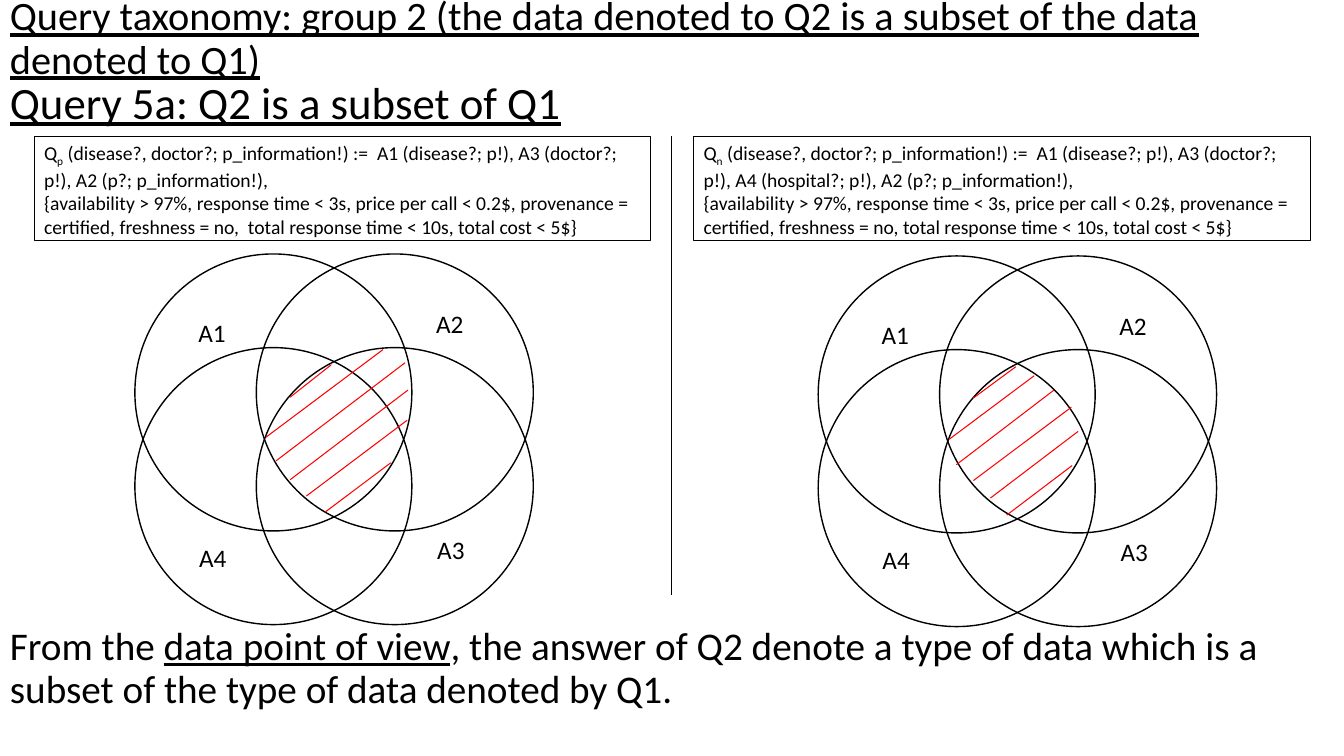
"""Build the Query 5a slide: two query boxes with hatched Venn diagrams."""
from dataclasses import dataclass

from pptx import Presentation
from pptx.dml.color import RGBColor
from pptx.enum.shapes import MSO_CONNECTOR as CONN, MSO_SHAPE as SHAPE
from pptx.enum.text import MSO_ANCHOR as ANCHOR, PP_ALIGN as ALIGN
from pptx.oxml.ns import qn
from pptx.shapes.autoshape import Shape
from pptx.slide import Slide
from pptx.text.text import TextFrame
from pptx.util import Cm, Pt
from lxml.etree import SubElement

FONT = "Calibri"
BLACK = "000000"
RED = "FF0000"
WIDTH = 33.87
DIAMETER = 6.98
STEP_X, STEP_Y = 3.06, 2.36


@dataclass
class Run:
    text: str
    underline: bool = False
    subscript: bool = False


@dataclass
class Hatch:
    x1: float
    y1: float
    x2: float
    y2: float


@dataclass
class Label:
    text: str
    x: float
    y: float


@dataclass
class Panel:
    box_x: float
    venn_x: float
    venn_y: float
    query: list[list[Run]]
    hatches: list[Hatch]


LABELS = [Label("A1", 1.35, 1.47), Label("A2", 7.34, 1.24),
          Label("A4", 1.37, 7.14), Label("A3", 7.37, 6.93)]

PANELS = [
    Panel(
        17.48, 20.62, 6.45,
        [[Run("Q"), Run("n", subscript=True),
          Run(" (disease?, doctor?; p_information!) :=  A1 (disease?; p!), A3 (doctor?; p!), "
              "A4 (hospital?; p!), A2 (p?; p_information!),")],
         [Run("{availability > 97%, response time < 3s, price per call < 0.2$, provenance = "
              "certified, freshness = no, total response time < 10s, total cost < 5$}")]],
        [Hatch(3.48, 5.26, 5.94, 3.38), Hatch(3.91, 5.66, 6.38, 3.81),
         Hatch(4.34, 6.1, 6.55, 4.42), Hatch(4.75, 6.53, 6.4, 5.28),
         Hatch(3.3, 4.62, 5.44, 3.02), Hatch(3.91, 3.58, 4.98, 2.79)]),
    Panel(
        0.86, 3.4, 6.4,
        [[Run("Q"), Run("p", subscript=True),
          Run(" (disease?, doctor?; p_information!) :=  A1 (disease?; p!), A3 (doctor?; p!), "
              "A2 (p?; p_information!),")],
         [Run("{availability > 97%, response time < 3s, price per call < 0.2$, provenance = "
              "certified, freshness = no,  total response time < 10s, total cost < 5$}")]],
        [Hatch(3.56, 5.21, 6.81, 2.74), Hatch(3.91, 5.69, 6.88, 3.43),
         Hatch(4.32, 6.1, 6.86, 4.19), Hatch(4.8, 6.5, 6.45, 5.26),
         Hatch(3.3, 4.62, 6.25, 2.41), Hatch(3.91, 3.61, 4.95, 2.79)]),
]


def color(value: str) -> RGBColor:
    """Turn a hex string into a colour."""
    return RGBColor.from_string(value)


def write(tf: TextFrame, paragraphs: list[list[Run]], size: float, spacing: float = 1.0) -> None:
    """Fill a text frame run by run."""
    for i, runs in enumerate(paragraphs):
        p = tf.add_paragraph() if i else tf.paragraphs[0]
        p.alignment = ALIGN.LEFT
        p.line_spacing = spacing
        for run in runs:
            r = p.add_run()
            r.text = run.text
            r.font.name = FONT
            r.font.size = Pt(size)
            r.font.color.rgb = color(BLACK)
            r.font.underline = run.underline
            if run.subscript:
                r.font._element.set("baseline", "-25000")


def add_text(s: Slide, x: float, y: float, w: float, h: float, runs: list[Run], size: float,
             spacing: float = 1.0, anchor: ANCHOR = ANCHOR.TOP, wrap: bool = True) -> None:
    """Add a text box with one paragraph."""
    tf = s.shapes.add_textbox(Cm(x), Cm(y), Cm(w), Cm(h)).text_frame
    tf.word_wrap = wrap
    tf.vertical_anchor = anchor
    write(tf, [runs], size, spacing)


def add_outline(s: Slide, kind: SHAPE, x: float, y: float, w: float, h: float,
                weight: float) -> Shape:
    """Add an unfilled shape with a black outline."""
    sp = s.shapes.add_shape(kind, Cm(x), Cm(y), Cm(w), Cm(h))
    sp.shadow.inherit = False
    sp.fill.background()
    sp.line.color.rgb = color(BLACK)
    sp.line.width = Pt(weight)
    return sp


def add_line(s: Slide, x1: float, y1: float, x2: float, y2: float,
             hex_color: str, weight: float) -> None:
    """Add a straight line without a shadow."""
    line = s.shapes.add_connector(CONN.STRAIGHT, Cm(x1), Cm(y1), Cm(x2), Cm(y2))
    line.line.color.rgb = color(hex_color)
    line.line.width = Pt(weight)
    SubElement(line._element.spPr, qn("a:effectLst"))


def add_panel(s: Slide, panel: Panel) -> None:
    """Add a query box and its Venn diagram."""
    box = add_outline(s, SHAPE.RECTANGLE, panel.box_x, 3.43, 15.54, 2.64, 0.75)
    box.text_frame.word_wrap = True
    box.text_frame.vertical_anchor = ANCHOR.TOP
    write(box.text_frame, panel.query, 14)
    x, y = panel.venn_x, panel.venn_y
    for col, row in [(0, 0), (1, 0), (1, 1), (0, 1)]:
        add_outline(s, SHAPE.OVAL, x + col * STEP_X, y + row * STEP_Y, DIAMETER, DIAMETER, 1)
    for hatch in panel.hatches:
        add_line(s, x + hatch.x1, y + hatch.y1, x + hatch.x2, y + hatch.y2, RED, 0.75)
    for label in LABELS:
        add_text(s, x + label.x, y + label.y, 1.22, 1.02, [Run(label.text)], 18, wrap=False)


def main() -> None:
    """Build and save the slide."""
    prs = Presentation()
    prs.slide_width, prs.slide_height = Cm(WIDTH), Cm(19.05)
    s = prs.slides.add_slide(prs.slide_layouts[6])
    title = ("Query taxonomy: group 2 (the data denoted to Q2 is a subset of the data "
             "denoted to Q1)")
    add_text(s, 0, 0, WIDTH, 1.98, [Run(title, underline=True)], 28.8, 0.9, ANCHOR.MIDDLE)
    add_text(s, 0, 1.65, WIDTH, 1.98, [Run("Query 5a: Q2 is a subset of Q1", underline=True)],
             32, 0.9, ANCHOR.MIDDLE)
    add_text(s, 0, 15.67, WIDTH, 2.77,
             [Run("From the "), Run("data point of view", underline=True),
              Run(", the answer of Q2 denote a type of data which is a subset of the type "
                  "of data denoted by Q1.")], 28, 0.9)
    add_line(s, 16.93, 3.43, 16.93, 14.99, BLACK, 0.5)
    for panel in PANELS:
        add_panel(s, panel)
    prs.save("out.pptx")


if __name__ == "__main__":
    main()
